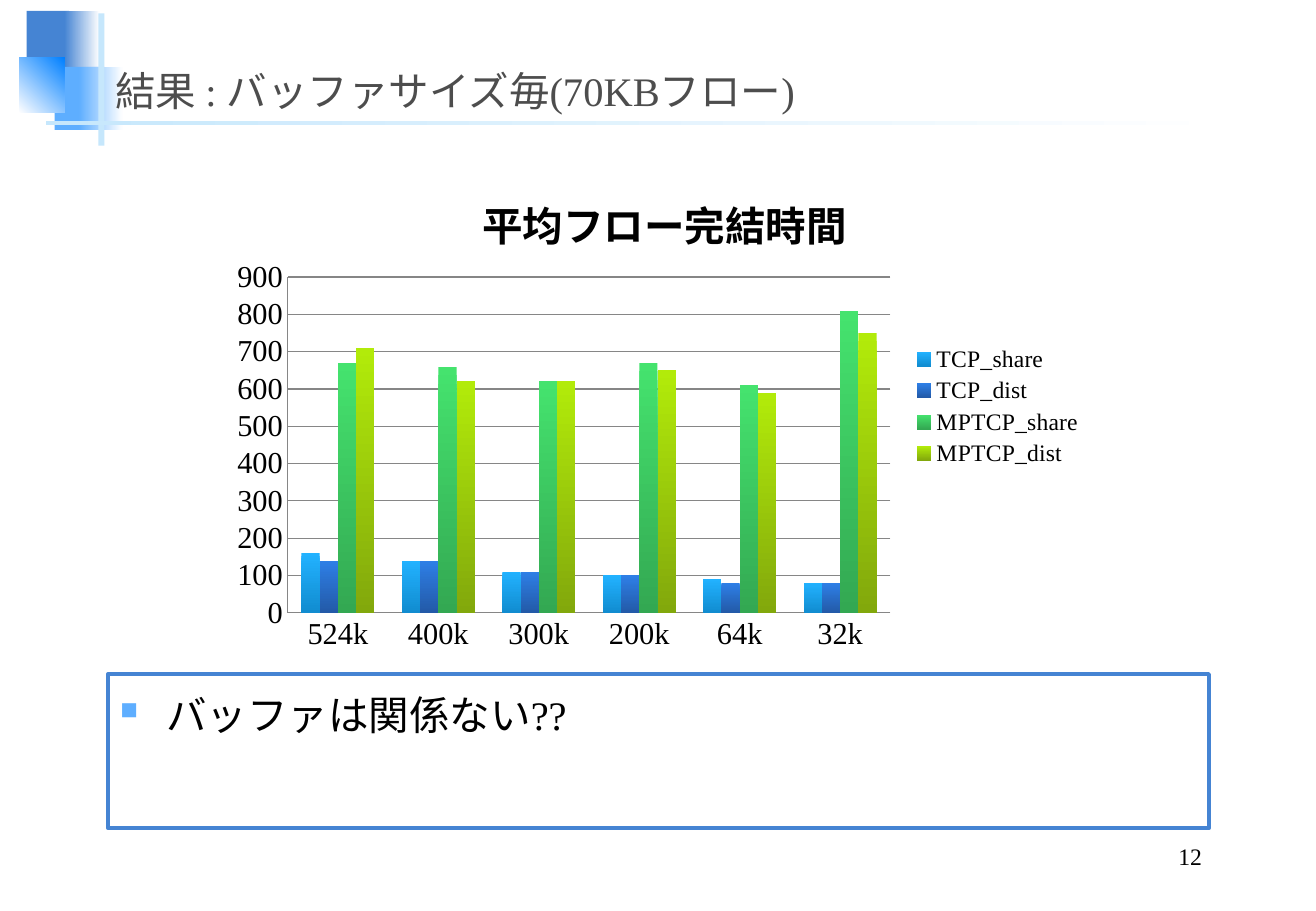
import pptx
import pptx.chart.data
import pptx.dml.color
import pptx.enum.chart
import pptx.enum.shapes
import pptx.enum.text
import pptx.oxml
import pptx.oxml.ns
import pptx.util
from lxml import etree

Inches = pptx.util.Inches
Pt = pptx.util.Pt
RGBColor = pptx.dml.color.RGBColor
qn = pptx.oxml.ns.qn
Anchor = pptx.enum.text.MSO_ANCHOR
Align = pptx.enum.text.PP_ALIGN

FONT = "Times New Roman"
BLACK = RGBColor(0x00, 0x00, 0x00)
WHITE = RGBColor(0xFF, 0xFF, 0xFF)
GRAY = RGBColor(0x4D, 0x4D, 0x4D)
GRID = RGBColor(0x86, 0x86, 0x86)
BLUE = RGBColor(0x45, 0x84, 0xD3)
SKY = RGBColor(0x5E, 0xAE, 0xFF)
VIVID = RGBColor(0x00, 0x80, 0xFF)
PALE = RGBColor(0xC6, 0xE7, 0xFC)

TITLE = "結果 : バッファサイズ毎(70KBフロー)"
FINDING = "バッファは関係ない??"
PAGE = "12"
CHART_TITLE = "平均フロー完結時間"
BUFFER_SIZES = ["524k", "400k", "300k", "200k", "64k", "32k"]
FLOW_TIMES = [
    ("TCP_share", (160, 140, 110, 100, 90, 80),
     RGBColor(0x22, 0xB2, 0xFF), RGBColor(0x11, 0x8C, 0xD0)),
    ("TCP_dist", (140, 140, 110, 100, 80, 80),
     RGBColor(0x2E, 0x7F, 0xE6), RGBColor(0x23, 0x5A, 0xA8)),
    ("MPTCP_share", (670, 660, 620, 670, 610, 810),
     RGBColor(0x45, 0xE3, 0x6E), RGBColor(0x33, 0xA8, 0x52)),
    ("MPTCP_dist", (710, 620, 620, 650, 590, 750),
     RGBColor(0xB2, 0xEB, 0x0A), RGBColor(0x82, 0xA8, 0x0C)),
]
ORNAMENTS = [
    ((0.22, 0.09, 0.35, 0.52), (BLUE,), 0),
    ((0.53, 0.09, 0.29, 0.52), (BLUE, WHITE), 0),
    ((0.45, 0.55, 0.41, 0.52), (SKY,), 0),
    ((0.65, 0.55, 0.36, 0.52), (SKY, WHITE), 0),
    ((0.16, 0.47, 0.37, 0.46), (WHITE, VIVID), 45),
    ((0.81, 0.11, 0.05, 1.09), (PALE,), 0),
    ((0.38, 1.0, 9.75, 0.03), (PALE, WHITE), 0),
]


def paint(fill, colors, angle):
    if len(colors) == 1:
        fill.solid()
        fill.fore_color.rgb = colors[0]
        return
    fill.gradient()
    fill.gradient_angle = angle
    for stop, color, position in zip(fill.gradient_stops, colors, (0, 1)):
        stop.color.rgb = color
        stop.position = position


def style(font, size, color=BLACK, bold=False):
    font.name = FONT
    font.size = Pt(size)
    font.color.rgb = color
    font.bold = bold


def add_text(slide, box, text, size, color=BLACK, anchor=Anchor.BOTTOM, align=Align.LEFT):
    label = slide.shapes.add_textbox(*map(Inches, box))
    frame = label.text_frame
    frame.word_wrap = True
    frame.vertical_anchor = anchor
    frame.text = text
    paragraph = frame.paragraphs[0]
    paragraph.alignment = align
    style(paragraph.runs[0].font, size, color)
    return label


def add_bullet(paragraph):
    paragraph.line_spacing = 1.2
    paragraph.space_before = Pt(6)
    props = paragraph._p.get_or_add_pPr()
    props.set("marL", str(Inches(0.38)))
    props.set("indent", str(Inches(-0.38)))
    color = etree.SubElement(props, qn("a:buClr"))
    etree.SubElement(color, qn("a:srgbClr"), val=str(SKY))
    etree.SubElement(props, qn("a:buSzPct"), val="60000")
    etree.SubElement(props, qn("a:buChar"), char="■")


def place(parent, index, **settings):
    for old in parent.findall(qn("c:layout")):
        parent.remove(old)
    layout = etree.Element(qn("c:layout"))
    manual = etree.SubElement(layout, qn("c:manualLayout"))
    for tag, value in settings.items():
        etree.SubElement(manual, qn("c:" + tag), val=str(value))
    parent.insert(index, layout)


def add_flow_chart(slide):
    data = pptx.chart.data.CategoryChartData()
    data.categories = BUFFER_SIZES
    for name, times, top, bottom in FLOW_TIMES:
        data.add_series(name, times)
    chart = slide.shapes.add_chart(
        pptx.enum.chart.XL_CHART_TYPE.COLUMN_CLUSTERED,
        *map(Inches, (1.82, 1.25, 7.2, 4.19)), data).chart
    style(chart.font, 10)

    chart.has_title = True
    heading = chart.chart_title.text_frame
    heading.text = CHART_TITLE
    style(heading.paragraphs[0].runs[0].font, 24, bold=True)
    place(chart.chart_title._element, 1, xMode="edge", yMode="edge", x=0.29, y=0.06)

    chart.has_legend = True
    chart.legend.position = pptx.enum.chart.XL_LEGEND_POSITION.RIGHT
    chart.legend.include_in_layout = False
    style(chart.legend.font, 14)

    for axis in (chart.category_axis, chart.value_axis):
        axis.major_tick_mark = pptx.enum.chart.XL_TICK_MARK.NONE
        axis.format.line.color.rgb = GRID
        style(axis.tick_labels.font, 18)
    times_axis = chart.value_axis
    times_axis.minimum_scale = 0
    times_axis.maximum_scale = 900
    times_axis.major_unit = 100
    times_axis.major_gridlines.format.line.color.rgb = GRID

    plot = chart.plots[0]
    plot.gap_width = 150
    plot.overlap = 0
    plot.vary_by_categories = False
    for series, (name, times, top, bottom) in zip(plot.series, FLOW_TIMES):
        paint(series.format.fill, (top, bottom), 270)
    place(chart._chartSpace.chart.plotArea, 0, layoutTarget="inner",
          xMode="edge", yMode="edge", x=0.076, y=0.246, w=0.689, h=0.66)


def main():
    deck = pptx.Presentation()
    deck.slide_width = Inches(10.83)
    deck.slide_height = Inches(7.5)
    slide = deck.slides.add_slide(deck.slide_layouts[6])

    for box, colors, angle in ORNAMENTS:
        ornament = slide.shapes.add_shape(
            pptx.enum.shapes.MSO_SHAPE.RECTANGLE, *map(Inches, box))
        ornament.shadow.inherit = False
        ornament.line.fill.background()
        paint(ornament.fill, colors, angle)

    add_text(slide, (0.85, 0.36, 9.29, 0.63), TITLE, 24, GRAY)
    finding = add_text(slide, (0.89, 5.55, 9.06, 1.27), FINDING, 24, anchor=Anchor.TOP)
    finding.line.color.rgb = BLUE
    finding.line.width = Pt(2.25)
    add_bullet(finding.text_frame.paragraphs[0])
    add_text(slide, (7.73, 6.9, 2.26, 0.31), PAGE, 14, align=Align.RIGHT)
    add_flow_chart(slide)

    deck.save("out.pptx")


if __name__ == "__main__":
    main()
